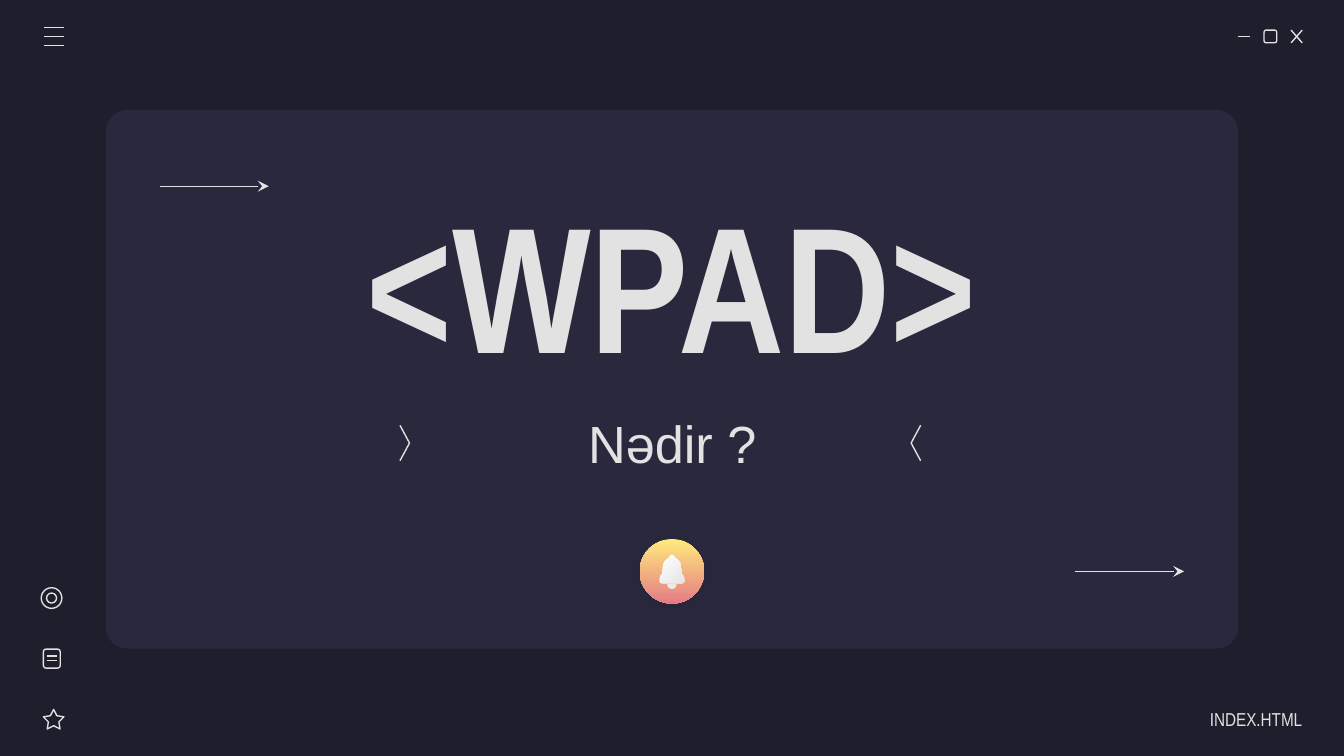
import dataclasses

import lxml.etree
import pptx
import pptx.dml.color
import pptx.enum.shapes
import pptx.enum.text
import pptx.oxml
import pptx.oxml.ns
import pptx.util

Cm = pptx.util.Cm
Pt = pptx.util.Pt
Shape = pptx.enum.shapes.MSO_SHAPE
Align = pptx.enum.text.PP_ALIGN
qn = pptx.oxml.ns.qn

COLOURS = {
    "background": "1E1E2C",
    "panel": "29283D",
    "light": "E2E2E2",
    "white": "FFFFFF",
    "yellow": "FFEA7D",
    "coral": "E57C85",
}
LINE_WIDTH = 0.75


@dataclasses.dataclass
class Box:
    left: float
    top: float
    width: float
    height: float

    def inside(self, left, top, width, height):
        return Box(self.left + left, self.top + top, width, height)

    def lengths(self):
        return [Cm(value) for value in (self.left, self.top, self.width, self.height)]


def colour(name):
    return pptx.dml.color.RGBColor.from_string(COLOURS[name])


def set_attributes(target, values):
    for name, value in values.items():
        setattr(target, name, value)


def outline(line):
    line.color.rgb = colour("light")
    line.width = Pt(LINE_WIDTH)


def style_shape(shape, fill=None, gradient=None, angle=0):
    shape.shadow.inherit = False
    if gradient:
        shape.fill.gradient()
        shape.fill.gradient_angle = angle
        for stop, name, position in zip(shape.fill.gradient_stops, gradient, (0, 1)):
            set_attributes(stop, {"position": position})
            stop.color.rgb = colour(name)
    elif fill:
        shape.fill.solid()
        shape.fill.fore_color.rgb = colour(fill)
    else:
        shape.fill.background()
    if fill or gradient:
        shape.line.fill.background()
    else:
        outline(shape.line)


def add_preset(slide, kind, box, adjustments=(), **style):
    shape = slide.shapes.add_shape(kind, *box.lengths())
    for index, value in enumerate(adjustments):
        shape.adjustments[index] = value
    style_shape(shape, **style)
    return shape


def add_line(slide, box, arrow=False):
    connector = slide.shapes.add_connector(
        pptx.enum.shapes.MSO_CONNECTOR.STRAIGHT,
        Cm(box.left), Cm(box.top),
        Cm(box.left + box.width), Cm(box.top + box.height))
    outline(connector.line)
    properties = connector.element.spPr
    if arrow:
        line = properties.find(qn("a:ln"))
        lxml.etree.SubElement(line, qn("a:tailEnd"), type="stealth")
    lxml.etree.SubElement(properties, qn("a:effectLst"))


def add_outline(slide, contours, close, **style):
    contours = [[(Cm(x), Cm(y)) for x, y in points] for points in contours]
    builder = slide.shapes.build_freeform(*contours[0][0])
    for index, points in enumerate(contours):
        if index:
            builder.move_to(*points[0])
        builder.add_line_segments(points[1:], close=close)
    style_shape(builder.convert_to_shape(), **style)


def add_text(slide, box, text, align, font, margin_right=0.25):
    frame = slide.shapes.add_textbox(*box.lengths()).text_frame
    set_attributes(frame, {
        "word_wrap": True,
        "vertical_anchor": pptx.enum.text.MSO_ANCHOR.MIDDLE,
        "margin_left": Cm(0.25),
        "margin_top": Cm(0.25),
        "margin_right": Cm(margin_right),
        "margin_bottom": Cm(0.25),
    })
    paragraph = frame.paragraphs[0]
    paragraph.alignment = align
    run = paragraph.add_run()
    run.text = text
    set_attributes(run.font, font)
    run.font.color.rgb = colour("light")


def curve(start, first, second, end, steps=8):
    points = []
    for step in range(1, steps + 1):
        t = step / steps
        weights = ((1 - t) ** 3, 3 * t * (1 - t) ** 2, 3 * t * t * (1 - t), t ** 3)
        points.append(tuple(
            sum(weight * point[axis] for weight, point
                in zip(weights, (start, first, second, end)))
            for axis in (0, 1)))
    return points


def draw_window_buttons(slide, box):
    side = box.height
    add_line(slide, box.inside(0, side / 2, side, 0))
    add_preset(slide, Shape.ROUNDED_RECTANGLE, box.inside(0.5, 0, side, side), [0.167])
    add_line(slide, box.inside(1.01, 0, 0.21, side))
    add_line(slide, box.inside(1.22, 0, -0.21, side))


def draw_menu(slide, box):
    for row in range(3):
        add_line(slide, box.inside(0, row * box.height / 2, box.width, 0))


def draw_side_icons(slide, box):
    add_preset(slide, Shape.OVAL, box.inside(0, 0, 0.39, 0.39))
    add_preset(slide, Shape.OVAL, box.inside(0.1, 0.1, 0.19, 0.19))
    add_preset(slide, Shape.ROUNDED_RECTANGLE, box.inside(0.04, 1.16, 0.32, 0.36), [0.167])
    for top in (1.29, 1.38):
        add_line(slide, box.inside(0.1, top, 0.19, 0))
    add_preset(slide, Shape.STAR_5_POINT, box.inside(0.04, 2.3, 0.39, 0.37),
               [0.254, 1.051, 1.106])


def draw_bell(slide, box):
    disc = add_preset(slide, Shape.OVAL, box, gradient=("yellow", "coral"), angle=270)
    effects = disc.element.spPr.find(qn("a:effectLst"))
    shadow = lxml.etree.SubElement(
        effects, qn("a:outerShdw"), blurRad=str(Pt(4.5)), dist=str(Pt(1.5)),
        dir="5400000", algn="bl", rotWithShape="0")
    tint = lxml.etree.SubElement(shadow, qn("a:srgbClr"), val=COLOURS["background"])
    lxml.etree.SubElement(tint, qn("a:alpha"), val="30000")

    half = [(0, 0)]
    half += curve((0, 0), (0.03, 0), (0.05, 0.02), (0.05, 0.05))
    half += curve((0.05, 0.05), (0.12, 0.08), (0.17, 0.15), (0.17, 0.23))
    half += curve((0.17, 0.35), (0.2, 0.37), (0.23, 0.41), (0.23, 0.45))
    half += curve((0.23, 0.49), (0.23, 0.52), (0.22, 0.53), (0.2, 0.53))
    body = half + [(-x, y) for x, y in reversed(half[1:])]
    clapper = [(-0.08, 0.56)] + curve((-0.08, 0.56), (-0.08, 0.66), (0.08, 0.66), (0.08, 0.56))
    centre = box.left + box.width / 2
    top = box.top + 0.3
    contours = [[(centre + x, top + y) for x, y in points] for points in (body, clapper)]
    add_outline(slide, contours, True, gradient=("white", "light"), angle=315)


def draw_chevrons(slide, box):
    right = box.left + box.width
    for outer, tip in ((box.left, box.left + 0.18), (right, right - 0.18)):
        points = [(outer, box.top), (tip, box.top + box.height / 2),
                  (outer, box.top + box.height)]
        add_outline(slide, [points], False)


def draw_panel(slide, box):
    add_preset(slide, Shape.ROUNDED_RECTANGLE, box, [0.04], fill="panel")
    add_text(slide, box.inside(2.98, 1.45, 15.42, 3.61), "<WPAD>", Align.CENTER,
             {"name": "Arial Narrow", "size": Pt(96), "bold": True})
    add_text(slide, box.inside(4.81, 5.06, 11.79, 2.46), "Nədir ?", Align.CENTER,
             {"name": "Arial", "size": Pt(28)})
    draw_bell(slide, box.inside(10.09, 8.11, 1.22, 1.22))
    draw_chevrons(slide, box.inside(5.56, 5.96, 9.84, 0.67))
    for left, top in ((1.02, 1.44), (18.32, 8.72)):
        add_line(slide, box.inside(left, top, 2.06, 0), arrow=True)


def main():
    presentation = pptx.Presentation()
    set_attributes(presentation, {"slide_width": Cm(25.4), "slide_height": Cm(14.29)})
    slide = presentation.slides.add_slide(presentation.slide_layouts[6])
    slide.background.fill.solid()
    slide.background.fill.fore_color.rgb = colour("background")

    draw_panel(slide, Box(2, 2.08, 21.4, 10.18))
    draw_window_buttons(slide, Box(23.39, 0.57, 1.22, 0.24))
    draw_menu(slide, Box(0.83, 0.52, 0.38, 0.34))
    draw_side_icons(slide, Box(0.78, 11.11, 0.43, 2.67))
    add_text(slide, Box(21.64, 13.21, 2.97, 0.76), "INDEX.HTML", Align.RIGHT,
             {"name": "Arial Narrow", "size": Pt(10)}, margin_right=0)
    presentation.save("out.pptx")


if __name__ == "__main__":
    main()
